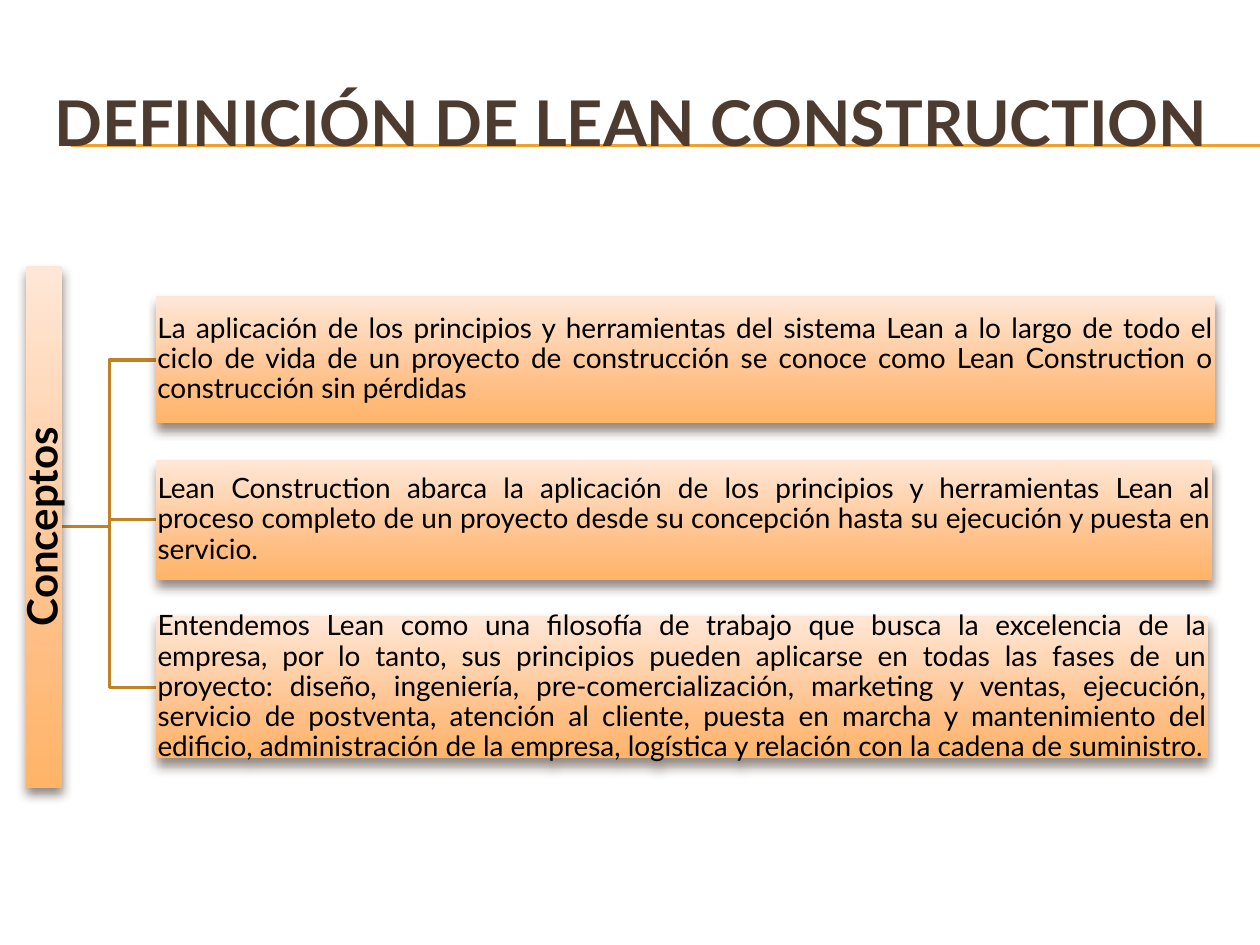
"""Build the slide that defines Lean Construction."""
from dataclasses import dataclass

from pptx import Presentation
from pptx.dml.color import RGBColor
from pptx.enum.shapes import MSO_CONNECTOR, MSO_SHAPE
from pptx.enum.text import MSO_ANCHOR, PP_ALIGN
from pptx.oxml import parse_xml
from pptx.oxml.ns import nsdecls, qn
from pptx.util import Inches, Pt

STRAIGHT = MSO_CONNECTOR.STRAIGHT
RECTANGLE = MSO_SHAPE.RECTANGLE
MIDDLE = MSO_ANCHOR.MIDDLE
LEFT, CENTER, JUSTIFY = PP_ALIGN.LEFT, PP_ALIGN.CENTER, PP_ALIGN.JUSTIFY

SLIDE_WIDTH, SLIDE_HEIGHT = 10, 7.5
TITLE_ONLY = 5
RULE_LEFT = 0.56
RULE_TOPS = (1.15, 1.16)
ROOT_CENTER_X, ROOT_CENTER_Y = 0.35, 4.18
ROOT_LENGTH, ROOT_THICKNESS = 4.14, 0.29
BRANCH_X, BOX_LEFT = 0.87, 1.24
FIRST_TOP, BOX_GAP = 2.35, 0.29


@dataclass(frozen=True)
class Theme:
    """Colours, font and type sizes of the slide."""

    font: str = "Lato"
    title_color: str = "4E3B30"
    text_color: str = "000000"
    rule_color: str = "F0A22E"
    branch_color: str = "C08225"
    shadow_color: str = "4E3B30"
    gradient: tuple = ((0, "FFE7D7"), (72, "FFBE84"), (100, "FFB468"))
    title_size: int = 36
    root_size: int = 24
    body_size: int = 16
    rule_width: float = 0.75
    branch_width: float = 2


@dataclass(frozen=True)
class Frame:
    """Place and size in inches."""

    left: float
    top: float
    width: float
    height: float

    def emu(self) -> tuple:
        """Return the four lengths as slide units."""
        return tuple(map(Inches, (self.left, self.top, self.width, self.height)))


@dataclass(frozen=True)
class Concept:
    """One definition and the size of its box."""

    width: float
    height: float
    text: str


THEME = Theme()
CONCEPTS = (
    Concept(8.4, 1.01, "La aplicación de los principios y herramientas del sistema Lean a lo "
            "largo de todo el ciclo de vida de un proyecto de construcción se conoce como "
            "Lean Construction o construcción sin pérdidas"),
    Concept(8.38, 0.95, "Lean Construction abarca la aplicación de los principios y "
            "herramientas Lean al proceso completo de un proyecto desde su concepción hasta "
            "su ejecución y puesta en servicio."),
    Concept(8.35, 1.13, "Entendemos Lean como una filosofía de trabajo que busca la excelencia "
            "de la empresa, por lo tanto, sus principios pueden aplicarse en todas las fases "
            "de un proyecto: diseño, ingeniería, pre-comercialización, marketing y ventas, "
            "ejecución, servicio de postventa, atención al cliente, puesta en marcha y "
            "mantenimiento del edificio, administración de la empresa, logística y relación "
            "con la cadena de suministro."),
)


def set_all(target, values: dict) -> None:
    """Set each named attribute on the target."""
    for name, value in values.items():
        setattr(target, name, value)


def write(shape, text: str, size: float, color: str, bold: bool, align, inset=None,
          spacing=None) -> None:
    """Put one formatted paragraph in a shape."""
    frame = shape.text_frame
    set_all(frame, {"word_wrap": True, "vertical_anchor": MIDDLE})
    if inset is not None:
        sides = ("left", "top", "right", "bottom")
        set_all(frame, {f"margin_{side}": Inches(inset) for side in sides})
    para = frame.paragraphs[0]
    set_all(para, {"alignment": align, "line_spacing": spacing})
    span = para.add_run()
    span.text = text
    set_all(span.font, {"name": THEME.font, "size": Pt(size), "bold": bold})
    span.font.color.rgb = RGBColor.from_string(color)


def paint(shape) -> None:
    """Give a shape the upright gradient and the soft shadow."""
    stops = "".join(f'<a:gs pos="{share * 1000}"><a:srgbClr val="{color}"/></a:gs>'
                    for share, color in THEME.gradient)
    shape.fill.gradient()
    properties = shape.element.spPr
    properties.replace(properties.find(qn("a:gradFill")), parse_xml(
        f'<a:gradFill {nsdecls("a")} rotWithShape="0"><a:gsLst>{stops}</a:gsLst>'
        '<a:lin ang="5400000" scaled="0"/></a:gradFill>'))
    shape.line.fill.background()
    shape.shadow.inherit = False
    properties.find(qn("a:effectLst")).append(parse_xml(
        f'<a:outerShdw {nsdecls("a")} blurRad="{Pt(6)}" dist="{Pt(4)}" dir="5400000" '
        f'rotWithShape="0"><a:srgbClr val="{THEME.shadow_color}">'
        '<a:alpha val="60000"/></a:srgbClr></a:outerShdw>'))


def draw_box(page, frame: Frame, text: str, size: float, bold: bool, align, inset: float,
             rotation: float = 0) -> None:
    """Draw one gradient box with its text."""
    box = page.shapes.add_shape(RECTANGLE, *frame.emu())
    box.rotation = rotation
    paint(box)
    write(box, text, size, THEME.text_color, bold, align, inset, 0.9)


def stroke(line, color: str, width: float) -> None:
    """Set colour and width of a line."""
    line.color.rgb = RGBColor.from_string(color)
    line.width = Pt(width)


def draw_rule(page, top: float) -> None:
    """Draw one rule behind the title."""
    rule = page.shapes.add_connector(STRAIGHT, Inches(RULE_LEFT), Inches(top),
                                     Inches(SLIDE_WIDTH), Inches(top))
    stroke(rule.line, THEME.rule_color, THEME.rule_width)
    rule.element.spPr.append(parse_xml(f'<a:effectLst {nsdecls("a")}/>'))
    page.shapes.title.element.addprevious(rule.element)


def draw_branch(page, target_y: float) -> None:
    """Draw the elbow from the root bar to one box."""
    start = ROOT_CENTER_X + ROOT_THICKNESS / 2
    builder = page.shapes.build_freeform(Inches(start), Inches(ROOT_CENTER_Y))
    corners = ((BRANCH_X, ROOT_CENTER_Y), (BRANCH_X, target_y), (BOX_LEFT, target_y))
    builder.add_line_segments([(Inches(x), Inches(y)) for x, y in corners], close=False)
    branch = builder.convert_to_shape()
    branch.fill.background()
    stroke(branch.line, THEME.branch_color, THEME.branch_width)
    branch.shadow.inherit = False


def concept_frames() -> list[Frame]:
    """Stack the concept boxes with equal gaps."""
    frames, top = [], FIRST_TOP
    for concept in CONCEPTS:
        frames.append(Frame(BOX_LEFT, top, concept.width, concept.height))
        top += concept.height + BOX_GAP
    return frames


def main() -> None:
    """Build and save the deck."""
    deck = Presentation()
    set_all(deck, {"slide_width": Inches(SLIDE_WIDTH), "slide_height": Inches(SLIDE_HEIGHT)})
    page = deck.slides.add_slide(deck.slide_layouts[TITLE_ONLY])
    title = page.shapes.title
    set_all(title, dict(zip(("left", "top", "width", "height"),
                            Frame(0.33, 0.5, 9.5, 0.92).emu())))
    write(title, "DEFINICIÓN DE LEAN CONSTRUCTION", THEME.title_size, THEME.title_color,
          True, LEFT)
    for top in RULE_TOPS:
        draw_rule(page, top)
    frames = concept_frames()
    for frame in reversed(frames):
        draw_branch(page, frame.top + frame.height / 2)
    root = Frame(ROOT_CENTER_X - ROOT_LENGTH / 2, ROOT_CENTER_Y - ROOT_THICKNESS / 2,
                 ROOT_LENGTH, ROOT_THICKNESS)
    draw_box(page, root, "Conceptos", THEME.root_size, True, CENTER, 0.02, 270)
    for concept, frame in zip(CONCEPTS, frames):
        draw_box(page, frame, concept.text, THEME.body_size, False, JUSTIFY, 0.01)
    deck.save("out.pptx")


main()
